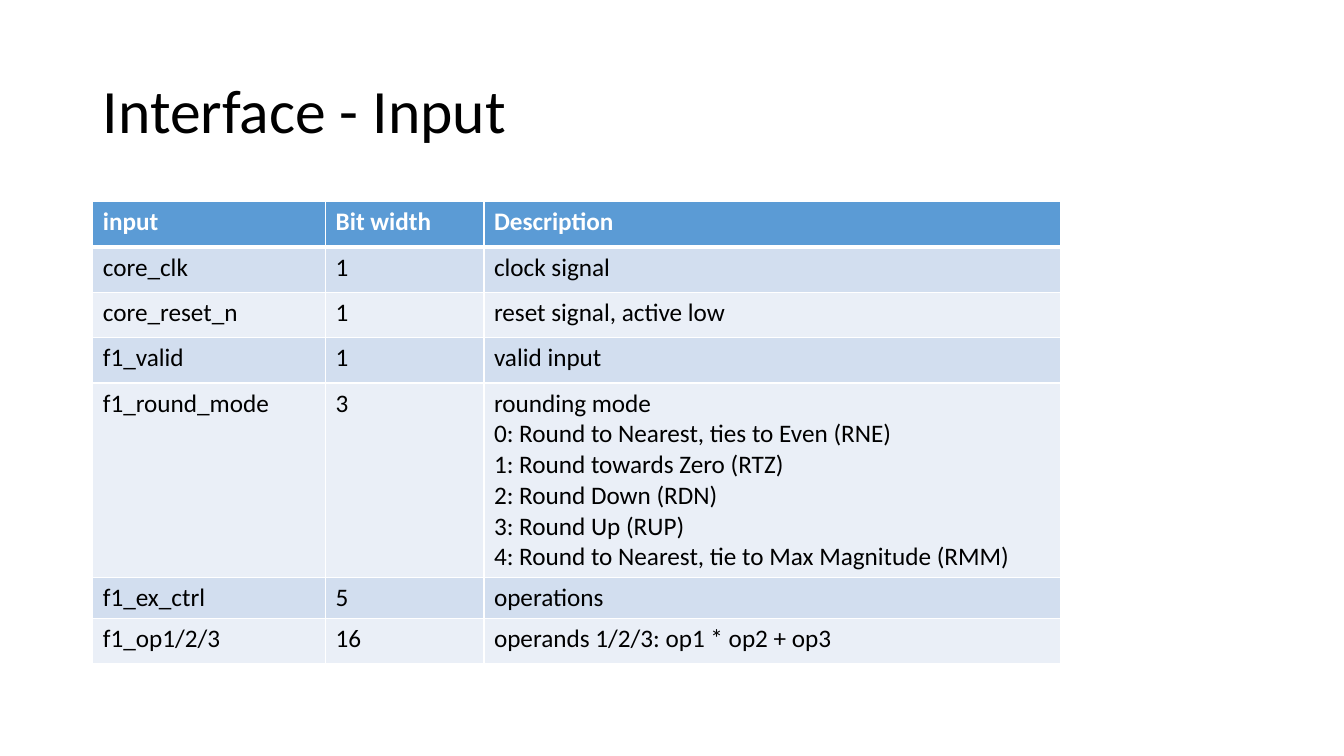
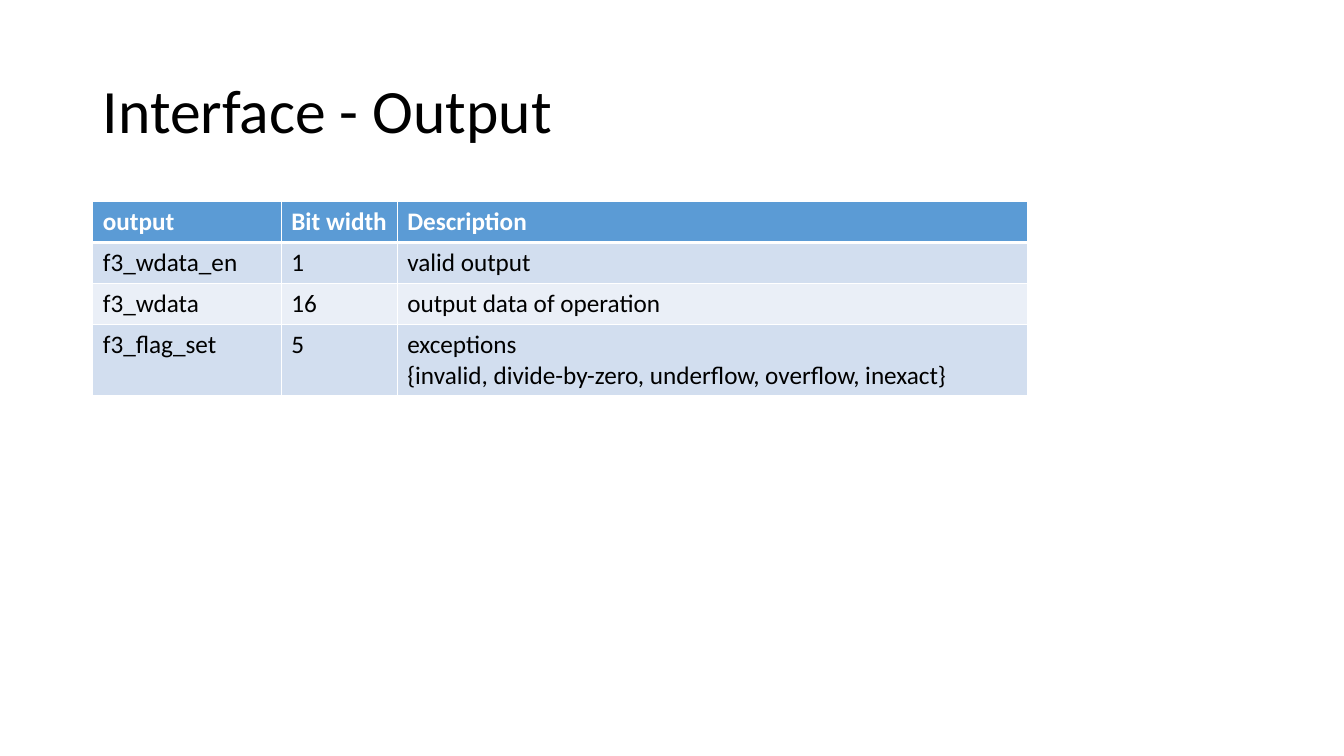
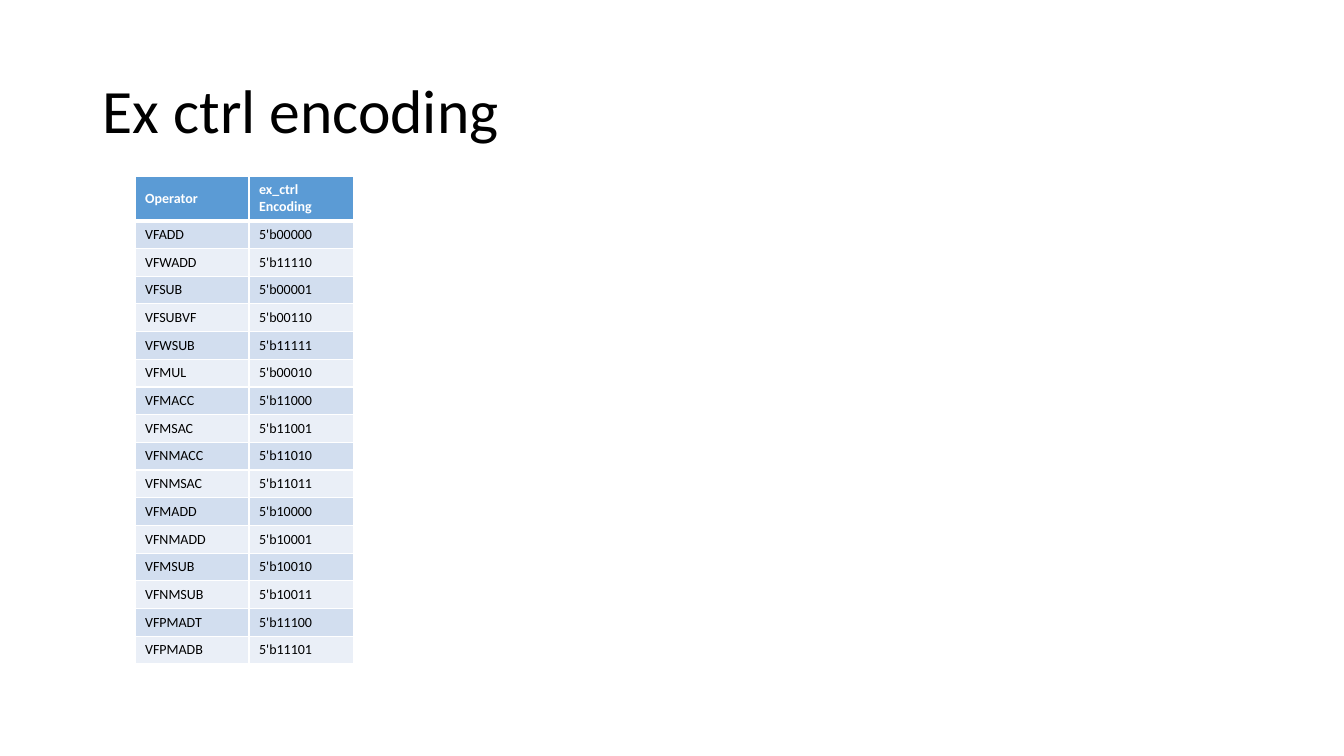
from lxml.etree import SubElement
from pptx import Presentation
from pptx.dml.color import RGBColor
from pptx.enum.text import MSO_ANCHOR, MSO_AUTO_SIZE, PP_ALIGN
from pptx.oxml.ns import qn
from pptx.util import Inches, Pt

# Shared style
FONT = "Calibri"
BLACK = RGBColor(0x00, 0x00, 0x00)
WHITE = RGBColor(0xFF, 0xFF, 0xFF)
HEADER_BLUE = RGBColor(0x5B, 0x9B, 0xD5)
BAND_DARK = RGBColor(0xD2, 0xDE, 0xEF)
BAND_LIGHT = RGBColor(0xEA, 0xEF, 0xF7)
THIN, THICK = Pt(1), Pt(3)

# Shared geometry, in inches
SLIDE_WIDTH, SLIDE_HEIGHT = 13.33, 7.5
MARGIN = 0.92
TITLE_TOP, TITLE_HEIGHT = 0.4, 1.45
TABLE_TOP = 2

# Table contents
INPUTS = [
    ("input", "Bit width", "Description"),
    ("core_clk", "1", "clock signal"),
    ("core_reset_n", "1", "reset signal, active low"),
    ("f1_valid", "1", "valid input"),
    ("f1_round_mode", "3", "rounding mode\n"
                           "0: Round to Nearest, ties to Even (RNE)\n"
                           "1: Round towards Zero (RTZ)\n"
                           "2: Round Down (RDN)\n"
                           "3: Round Up (RUP)\n"
                           "4: Round to Nearest, tie to Max Magnitude (RMM)"),
    ("f1_ex_ctrl", "5", "operations"),
    ("f1_op1/2/3", "16", "operands 1/2/3: op1 * op2 + op3"),
]
OUTPUTS = [
    ("output", "Bit width", "Description"),
    ("f3_wdata_en", "1", "valid output"),
    ("f3_wdata", "16", "output data of operation"),
    ("f3_flag_set", "5", "exceptions\n"
                         "{invalid, divide-by-zero, underflow, overflow, inexact}"),
]
ENCODINGS = [
    ("Operator", "ex_ctrl Encoding"),
    ("VFADD", "5'b00000"),
    ("VFWADD", "5'b11110"),
    ("VFSUB", "5'b00001"),
    ("VFSUBVF", "5'b00110"),
    ("VFWSUB", "5'b11111"),
    ("VFMUL", "5'b00010"),
    ("VFMACC", "5'b11000"),
    ("VFMSAC", "5'b11001"),
    ("VFNMACC", "5'b11010"),
    ("VFNMSAC", "5'b11011"),
    ("VFMADD", "5'b10000"),
    ("VFNMADD", "5'b10001"),
    ("VFMSUB", "5'b10010"),
    ("VFNMSUB", "5'b10011"),
    ("VFPMADT", "5'b11100"),
    ("VFPMADB", "5'b11101"),
]


def format_text(text_frame, size, color, bold=False):
    for para in text_frame.paragraphs:
        for span in para.runs:
            span.font.name = FONT
            span.font.size = Pt(size)
            span.font.bold = bold
            span.font.color.rgb = color


def add_titled_slide(deck, text):
    page = deck.slides.add_slide(deck.slide_layouts.get_by_name("Title Only"))
    title = page.shapes.title
    title.left, title.top = Inches(MARGIN), Inches(TITLE_TOP)
    title.width = Inches(SLIDE_WIDTH - 2 * MARGIN)
    title.height = Inches(TITLE_HEIGHT)
    frame = title.text_frame
    frame.text = text
    frame.vertical_anchor = MSO_ANCHOR.MIDDLE
    frame.auto_size = MSO_AUTO_SIZE.NONE
    frame.paragraphs[0].alignment = PP_ALIGN.LEFT
    frame.paragraphs[0].line_spacing = 0.9
    format_text(frame, 44, BLACK)
    return page


def set_borders(cell, top, bottom):
    properties = cell._tc.get_or_add_tcPr()
    for side, width in (("L", THIN), ("R", THIN), ("T", top), ("B", bottom)):
        line = SubElement(properties, qn(f"a:ln{side}"), w=str(width))
        fill = SubElement(line, qn("a:solidFill"))
        SubElement(fill, qn("a:srgbClr"), val=str(WHITE))


def format_cell(cell, row, size, anchor):
    is_header = row == 0
    # The thick rule lies between the header and the first body row
    set_borders(cell, THICK if row == 1 else THIN, THICK if is_header else THIN)
    cell.fill.solid()
    band = BAND_DARK if row % 2 else BAND_LIGHT
    cell.fill.fore_color.rgb = HEADER_BLUE if is_header else band
    cell.vertical_anchor = anchor
    format_text(cell.text_frame, size, WHITE if is_header else BLACK, is_header)


def add_banded_table(page, rows, widths, heights, left=MARGIN, top=TABLE_TOP,
                     size=18, anchor=MSO_ANCHOR.TOP):
    table = page.shapes.add_table(
        len(rows), len(widths), Inches(left), Inches(top),
        Inches(sum(widths)), Inches(sum(heights))).table
    for column, width in zip(table.columns, widths):
        column.width = Inches(width)
    for line, height in zip(table.rows, heights):
        line.height = Inches(height)
    for row, texts in enumerate(rows):
        for column, text in enumerate(texts):
            cell = table.cell(row, column)
            cell.text = text
            format_cell(cell, row, size, anchor)


def main():
    deck = Presentation()
    deck.slide_width = Inches(SLIDE_WIDTH)
    deck.slide_height = Inches(SLIDE_HEIGHT)

    # Input signals
    page = add_titled_slide(deck, "Interface - Input")
    add_banded_table(page, INPUTS, widths=[2.31, 1.57, 5.72],
                     heights=[0.45] * 4 + [1.92, 0.4, 0.45])

    # Output signals
    page = add_titled_slide(deck, "Interface - Output")
    add_banded_table(page, OUTPUTS, widths=[1.87, 1.15, 6.25],
                     heights=[0.4] * 3 + [0.71])

    # Operator encodings
    page = add_titled_slide(deck, "Ex ctrl encoding")
    add_banded_table(page, ENCODINGS, widths=[1.13, 1.04],
                     heights=[0.44] + [0.275] * (len(ENCODINGS) - 1),
                     left=1.34, top=1.75, size=10, anchor=MSO_ANCHOR.MIDDLE)

    deck.save("out.pptx")


if __name__ == "__main__":
    main()
